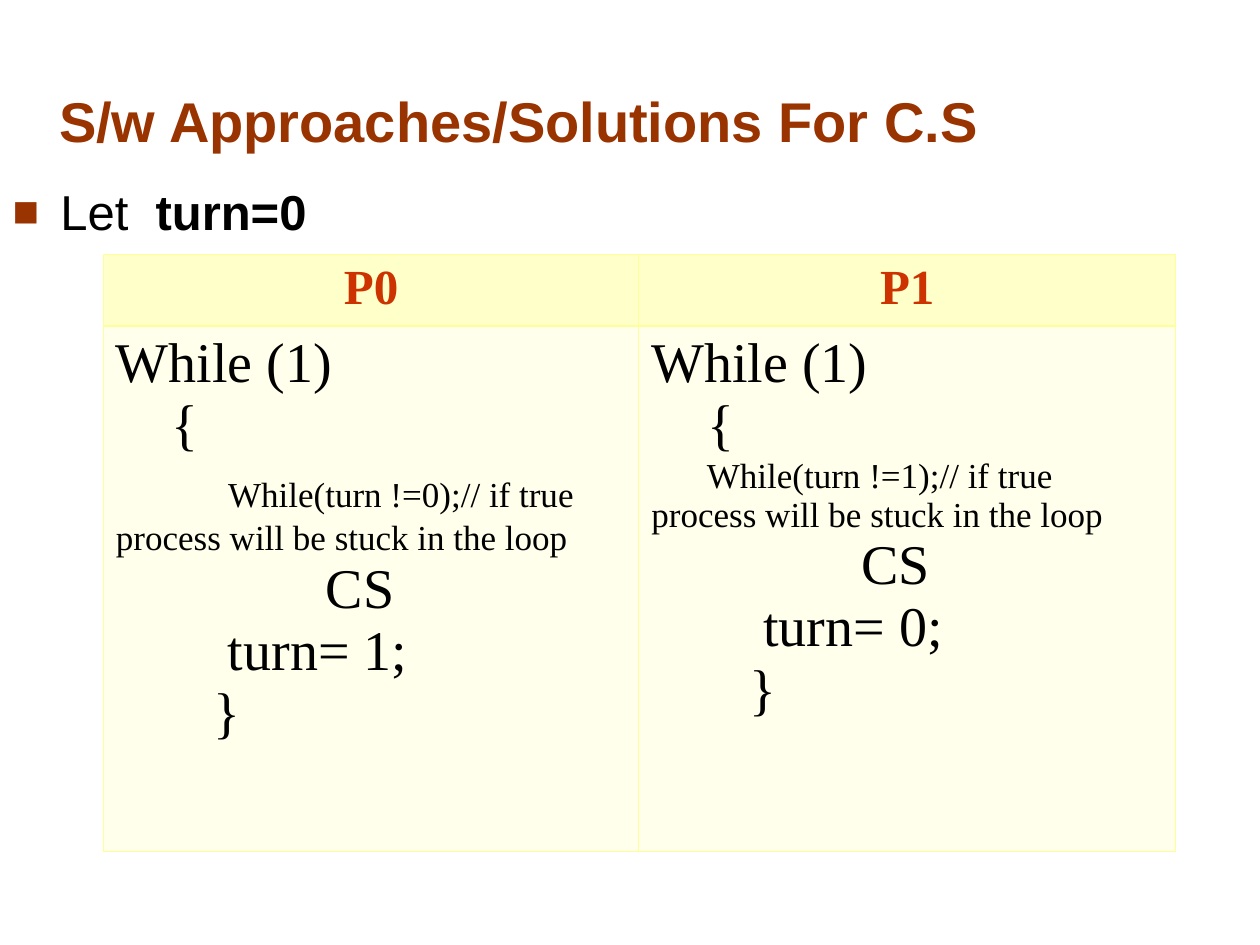
from lxml import etree
from pptx import Presentation
from pptx.dml.color import RGBColor
from pptx.enum.text import MSO_ANCHOR, PP_ALIGN
from pptx.oxml.ns import qn
from pptx.util import Inches, Pt

CENTER, LEFT = PP_ALIGN.CENTER, PP_ALIGN.LEFT
BOTTOM, TOP = MSO_ANCHOR.BOTTOM, MSO_ANCHOR.TOP
SANS, SERIF = "Arial", "Times New Roman"
RUST, RED, BLACK, EDGE = "993300", "CC3300", "000000", "FFFF99"
THIN, THICK = 0.45, 1.47

TITLE = "S/w Approaches/Solutions For C.S"
HEADS = ["P0", "P1"]
WAIT = "While(turn !={});// if true process will be stuck in the loop"
# Each code line is a list of (text, size) runs.
WAITS = [
    [("        ", 32), (WAIT.format(0), 20)],
    [("      ", 18), (" " + WAIT.format(1), 20)],
]
COLS, ROWS = [4.25, 4.26], [0.57, 4.17]
FILLS = ["FFFFCA", "FFFFEC"]


def rgb(code):
    return RGBColor.from_string(code)


def place(shape, left, top, width, height):
    shape.left, shape.top = Inches(left), Inches(top)
    shape.width, shape.height = Inches(width), Inches(height)


def write(para, text, size=32, font=SERIF, color=BLACK, bold=False, align=LEFT):
    para.alignment = align
    run = para.add_run()
    run.text = text
    run.font.size, run.font.name, run.font.bold = Pt(size), font, bold
    run.font.color.rgb = rgb(color)


def bullet(para, mark, color, size, indent):
    props = para._p.get_or_add_pPr()
    props.set("marL", str(Inches(indent)))
    props.set("indent", str(-Inches(indent)))
    tint = etree.SubElement(props, qn("a:buClr"))
    etree.SubElement(tint, qn("a:srgbClr"), val=color)
    etree.SubElement(props, qn("a:buSzPct"), val=str(size * 1000))
    etree.SubElement(props, qn("a:buFont"), typeface=SANS)
    etree.SubElement(props, qn("a:buChar"), char=mark)


def border(cell, **widths):
    props = cell._tc.get_or_add_tcPr()
    for side in "LRTB":
        line = etree.SubElement(props, qn("a:ln" + side),
                                w=str(Pt(widths.get(side, THIN))))
        fill = etree.SubElement(line, qn("a:solidFill"))
        etree.SubElement(fill, qn("a:srgbClr"), val=EDGE)


def code(cell, wait, turn):
    lines = [
        [("While (1)", 32)],
        [("    {", 32)],
        wait,
        [("               CS", 32)],
        [(f"        turn= {turn};", 32)],
        [("       }", 32)],
    ]
    frame = cell.text_frame
    for i, runs in enumerate(lines):
        para = frame.add_paragraph() if i else frame.paragraphs[0]
        for text, size in runs:
            write(para, text, size=size)


deck = Presentation()
deck.slide_width, deck.slide_height = Inches(10), Inches(7.5)
slide = deck.slides.add_slide(deck.slide_layouts[1])
title, body = slide.placeholders

place(title, -0.03, 0.6, 8.3, 0.67)
title.text_frame.vertical_anchor = BOTTOM
write(title.text_frame.paragraphs[0], TITLE,
      font=SANS, color=RUST, bold=True, align=CENTER)

place(body, 0, 1.39, 9.52, 5.87)
body.text_frame.vertical_anchor = TOP
item = body.text_frame.paragraphs[0]
bullet(item, "■", RUST, 90, 0.38)
item.space_before = Pt(0)
write(item, "Let  ", size=28, font=SANS)
write(item, "turn=0", size=28, font=SANS, bold=True)

table = slide.shapes.add_table(
    len(ROWS), len(COLS), Inches(0.82), Inches(2.02),
    Inches(sum(COLS)), Inches(sum(ROWS))).table
for row, height in zip(table.rows, ROWS):
    row.height = Inches(height)
for i, width in enumerate(COLS):
    table.columns[i].width = Inches(width)
    head, cell = table.cell(0, i), table.cell(1, i)
    write(head.text_frame.paragraphs[0], HEADS[i],
          size=28, color=RED, bold=True, align=CENTER)
    code(cell, WAITS[i], 1 - i)
    border(head, B=THICK)
    border(cell, T=THICK)
    for part, fill in zip((head, cell), FILLS):
        part.fill.solid()
        part.fill.fore_color.rgb = rgb(fill)

deck.save("out.pptx")
